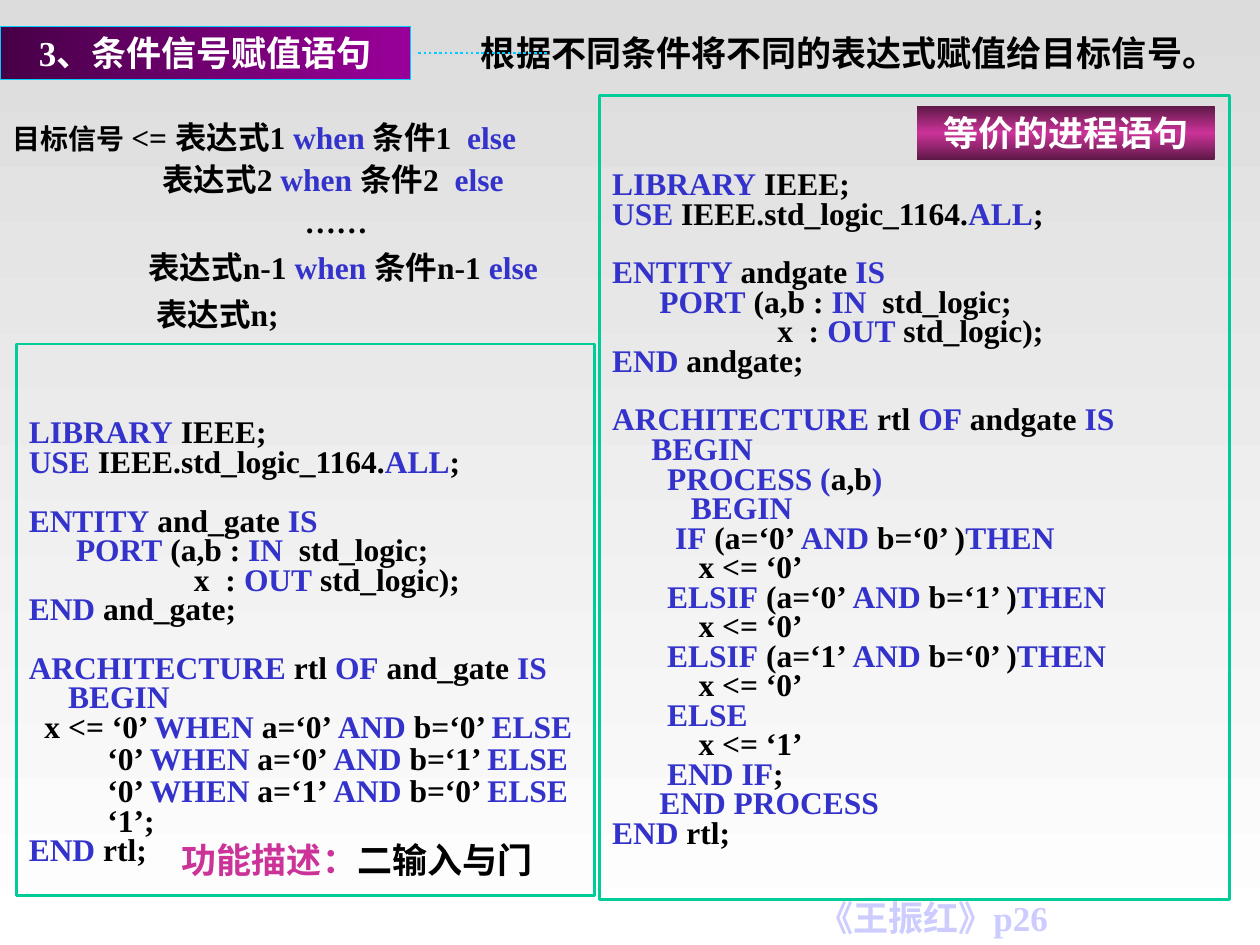
from dataclasses import dataclass
from lxml import etree
from pptx import Presentation
from pptx import util as u
from pptx.dml.color import RGBColor
from pptx.enum import dml, shapes, text
from pptx.oxml.ns import qn


@dataclass(frozen=True)
class Theme:
    font: str = "Times New Roman"
    cjk: str = "Noto Sans CJK SC"
    ink: str = "000000"
    white: str = "FFFFFF"
    keyword: str = "3333CC"
    accent: str = "CC3399"
    frame: str = "00CC99"
    cyan: str = "00CCFF"
    pale: str = "CCCCFF"
    page: tuple = ("DCDCDC", "FFFFFF")
    pill: tuple = ("470047", "990099")
    badge: tuple = ("5E1847", "CC3399", "5E1847")
    label: int = 20
    code: int = 18
    small: int = 16


T = Theme()
WIDTH, HEIGHT = u.Inches(10), u.Inches(7.5)
COLS, ROWS = 100, 75
CODE_SPACE, CODE_BLANK, WIDE_SPACE = 9.3, 25.9, 10.9


def put(obj, values):
    for name, value in values.items():
        setattr(obj, name, value)


def grid(x, y, w, h):
    cw, rh = WIDTH / COLS, HEIGHT / ROWS
    return [u.Emu(round(v)) for v in (x * cw, y * rh, w * cw, h * rh)]


def gradient(fill, element, colors, angle):
    fill.gradient()
    fill.gradient_angle = angle
    stops = next(element.iter(qn("a:gsLst")))
    for stop in list(stops):
        stops.remove(stop)
    for i, color in enumerate(colors):
        gs = etree.SubElement(stops, qn("a:gs"), pos=str(100000 * i // (len(colors) - 1)))
        etree.SubElement(gs, qn("a:srgbClr"), val=color)


def outline(line, color, width):
    line.color.rgb = RGBColor.from_string(color)
    line.width = u.Pt(width)


def add_run(p, words, color, size, font=T.font):
    r = p.add_run()
    r.text = words
    put(r.font, {"name": font, "size": u.Pt(size), "bold": True})
    r.font.color.rgb = RGBColor.from_string(color)


def marked(p, line, size):
    for i, words in enumerate(line.split("|")):
        if words:
            add_run(p, words, T.keyword if i % 2 else T.ink, size)


def frame_text(tf, top=0.05, side=0.1, anchor=text.MSO_ANCHOR.TOP, wrap=True):
    put(tf, {"margin_left": u.Inches(side), "margin_right": u.Inches(side),
             "margin_top": u.Inches(top), "margin_bottom": u.Inches(min(top, 0.05)),
             "word_wrap": wrap, "vertical_anchor": anchor,
             "auto_size": text.MSO_AUTO_SIZE.NONE})


def label(tf, runs, side=0.1, wrap=True):
    frame_text(tf, side and 0.05, side, text.MSO_ANCHOR.MIDDLE, wrap)
    p = tf.paragraphs[0]
    p.alignment = text.PP_ALIGN.CENTER
    for words, color, font in runs:
        add_run(p, words, color, T.label, font)


def text_label(s, box, *runs):
    label(s.shapes.add_textbox(*grid(*box)).text_frame, runs)


def title_bar(s, box):
    x, y, w, h = box
    sp = s.shapes.title
    put(sp, dict(zip(("left", "top", "width", "height"), grid(x, y, 32.6, h))))
    geom = etree.Element(qn("a:prstGeom"), prst="roundRect")
    guides = etree.SubElement(geom, qn("a:avLst"))
    etree.SubElement(guides, qn("a:gd"), name="adj", fmla="val 50000")
    sp.element.spPr.find(qn("a:xfrm")).addnext(geom)
    gradient(sp.fill, sp.element, T.pill, 0)
    outline(sp.line, T.cyan, 0.75)
    label(sp.text_frame, [("3、条件信号赋值语句", T.white, T.font)], 0, False)
    text_label(s, (x + 35.7, y, w - 35.7, h),
               ("根据不同条件将不同的表达式赋值给目标信号。", T.ink, T.font))
    left, top, width, _ = grid(x + 33.2, y + h / 2, 10.2, 0)
    line = s.shapes.add_connector(shapes.MSO_CONNECTOR.STRAIGHT, left, top, left + width, top)
    outline(line.line, T.cyan, 1.5)
    line.line.dash_style = dml.MSO_LINE.ROUND_DOT
    etree.SubElement(line.element.spPr, qn("a:effectLst"))


def syntax(s, box):
    tf = s.shapes.add_textbox(*grid(*box)).text_frame
    frame_text(tf, 0.38)
    rows = [(0, 0, " <= 表达式1 |when |条件1  |else"),
            (1.19, 0, "表达式2 |when |条件2  |else"),
            (2.32, 0, "……"),
            (1.08, 2.3, "表达式n-1 |when |条件n-1 |else"),
            (1.14, 2.9, "表达式n;")]
    for i, (indent, before, line) in enumerate(rows):
        p = tf.add_paragraph() if i else tf.paragraphs[0]
        p._p.get_or_add_pPr().set("marL", str(u.Inches(indent)))
        put(p, {"line_spacing": u.Pt(24), "space_before": u.Pt(before)})
        if not i:
            add_run(p, "目标信号", T.ink, T.small)
        marked(p, line, T.code)


def entity(name):
    return [(0, "|LIBRARY| IEEE;"),
            (CODE_SPACE, "|USE| IEEE.std_logic_1164.|ALL|;"),
            (CODE_BLANK, f"|ENTITY| {name} |IS|"),
            (CODE_SPACE, "      |PORT| (a,b : |IN|  std_logic;"),
            (CODE_SPACE, "                     x  : |OUT| std_logic);"),
            (CODE_SPACE, f"|END| {name};"),
            (CODE_BLANK, f"|ARCHITECTURE| rtl |OF| {name} |IS|"),
            (CODE_SPACE, "     |BEGIN|")]


def conditional_body():
    return [(CODE_SPACE, "  x <= ‘0’ |WHEN| a=‘0’ |AND| b=‘0’ |ELSE|"),
            (WIDE_SPACE, "          ‘0’ |WHEN| a=‘0’ |AND| b=‘1’ |ELSE|"),
            (WIDE_SPACE, "          ‘0’ |WHEN| a=‘1’ |AND| b=‘0’ |ELSE|"),
            (CODE_SPACE, "          ‘1’;"),
            (CODE_SPACE, "|END| rtl;")]


def process_body():
    lines = ["       |PROCESS (|a,b|)|", "          |BEGIN|"]
    for word, a, b in (("        |IF", 0, 0), ("       |ELSIF", 0, 1), ("       |ELSIF", 1, 0)):
        lines += [f"{word}| (a=‘{a}’ |AND| b=‘{b}’ )|THEN|", "           x <= ‘0’"]
    lines += ["       |ELSE|", "           x <= ‘1’", "       |END IF|;",
              "      |END PROCESS|", "|END| rtl;"]
    return [(CODE_SPACE, line) for line in lines]


def code_panel(s, box, lines):
    sp = s.shapes.add_shape(shapes.MSO_SHAPE.RECTANGLE, *grid(*box))
    sp.shadow.inherit = False
    sp.fill.background()
    outline(sp.line, T.frame, 1.5)
    tf = sp.text_frame
    frame_text(tf, 0.71)
    for i, (before, line) in enumerate(lines):
        p = tf.add_paragraph() if i else tf.paragraphs[0]
        put(p, {"alignment": text.PP_ALIGN.LEFT, "line_spacing": 0.35,
                "space_before": u.Pt(before)})
        marked(p, line, T.code)


def badge(s, box):
    sp = s.shapes.add_shape(shapes.MSO_SHAPE.RECTANGLE, *grid(*box))
    sp.shadow.inherit = False
    gradient(sp.fill, sp.element, T.badge, 270)
    sp.line.fill.background()
    label(sp.text_frame, [("等价的进程语句", T.white, T.font)])


def main():
    prs = Presentation()
    put(prs, {"slide_width": WIDTH, "slide_height": HEIGHT})
    s = prs.slides.add_slide(prs.slide_layouts[5])
    gradient(s.background.fill, s.element, T.page, 270)
    title_bar(s, (0, 2.1, 99.1, 4.2))
    code_panel(s, (1.3, 27.3, 45.9, 43.8), entity("and_gate") + conditional_body())
    syntax(s, (0, 5.2, 46.1, 21.9))
    text_label(s, (63.4, 70.7, 21.3, 4.3), ("《王振红》p26", T.pale, T.font))
    code_panel(s, (47.6, 7.6, 50, 63.8), entity("andgate") + process_body())
    badge(s, (72.8, 8.4, 23.6, 4.3))
    text_label(s, (12.2, 65.9, 32.3, 4.6),
               ("功能描述：", T.accent, T.cjk), ("二输入与门", T.ink, T.font))
    prs.save("out.pptx")


if __name__ == "__main__":
    main()
